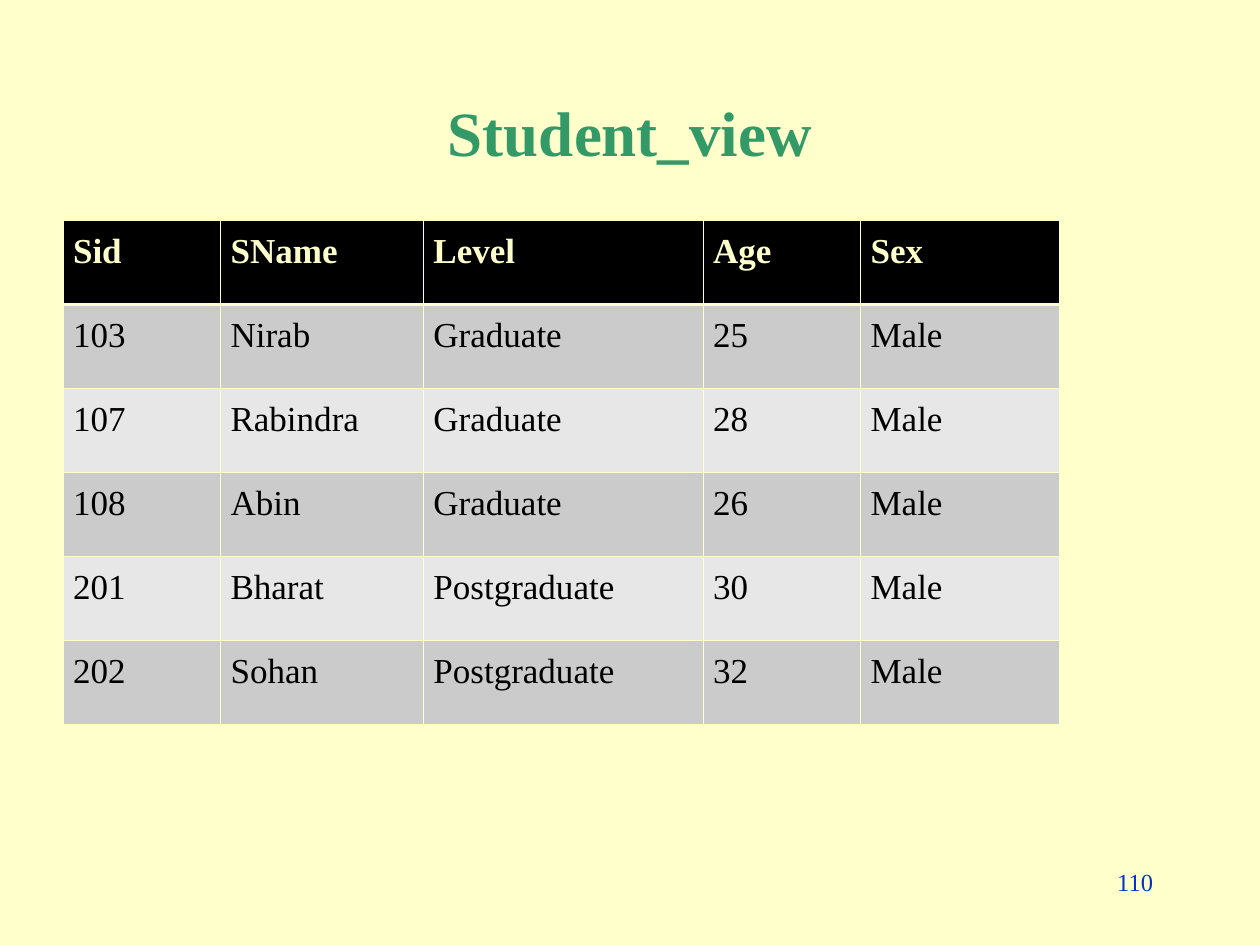
from lxml import etree
from pptx import Presentation, util as u
from pptx.dml.color import RGBColor
from pptx.enum import text
from pptx.oxml.ns import qn

TITLE = "Student_view"
PAGE_NUMBER = "110"
HEADER = ["Sid", "SName", "Level", "Age", "Sex"]
STUDENTS = [
    ["103", "Nirab", "Graduate", "25", "Male"],
    ["107", "Rabindra", "Graduate", "28", "Male"],
    ["108", "Abin", "Graduate", "26", "Male"],
    ["201", "Bharat", "Postgraduate", "30", "Male"],
    ["202", "Sohan", "Postgraduate", "32", "Male"],
]
COLUMN_WIDTHS = [1.25, 1.61, 2.22, 1.25, 1.58]
TABLE_LEFT, TABLE_TOP, TABLE_HEIGHT = 0.5, 1.75, 4

FONT = "Times New Roman"
CREAM = RGBColor(0xFF, 0xFF, 0xCC)
GREEN = RGBColor(0x33, 0x99, 0x66)
BLUE = RGBColor(0x00, 0x33, 0xCC)
BLACK = RGBColor(0x00, 0x00, 0x00)
BANDS = [RGBColor(0xCB, 0xCB, 0xCB), RGBColor(0xE7, 0xE7, 0xE7)]
THIN, THICK = 0.45, 1.47


def write(frame, words, size, color, bold=False, align=text.PP_ALIGN.LEFT):
    para = frame.paragraphs[0]
    para.alignment = align
    span = para.add_run()
    span.text = words
    span.font.name = FONT
    span.font.size = u.Pt(size)
    span.font.bold = bold
    span.font.color.rgb = color
    return para


def add_label(page, place, words, size, color, bold, align, anchor):
    box = page.shapes.add_textbox(*map(u.Inches, place))
    box.text_frame.word_wrap = True
    box.text_frame.vertical_anchor = anchor
    write(box.text_frame, words, size, color, bold, align)


def add_borders(cell, top, bottom):
    properties = cell._tc.get_or_add_tcPr()
    for side, width in zip("LRTB", (THIN, THIN, top, bottom)):
        line = etree.SubElement(properties, qn("a:ln" + side), w=str(u.Pt(width)))
        fill = etree.SubElement(line, qn("a:solidFill"))
        etree.SubElement(fill, qn("a:srgbClr"), val=str(CREAM))


def add_student_table(page):
    rows = [HEADER] + STUDENTS
    place = (TABLE_LEFT, TABLE_TOP, sum(COLUMN_WIDTHS), TABLE_HEIGHT)
    table = page.shapes.add_table(len(rows), len(HEADER), *map(u.Inches, place)).table
    for column, width in zip(table.columns, COLUMN_WIDTHS):
        column.width = u.Inches(width)
    for r, values in enumerate(rows):
        is_header = r == 0
        for c, value in enumerate(values):
            cell = table.cell(r, c)
            cell.margin_left = cell.margin_right = u.Inches(0.08)
            cell.margin_top = cell.margin_bottom = u.Inches(0.05)
            add_borders(cell, THICK if r == 1 else THIN, THICK if is_header else THIN)
            cell.fill.solid()
            cell.fill.fore_color.rgb = BLACK if is_header else BANDS[(r - 1) % 2]
            para = write(cell.text_frame, value, 20, CREAM if is_header else BLACK, is_header)
            para.line_spacing = 1.15


def main():
    deck = Presentation()
    deck.slide_width, deck.slide_height = u.Inches(10), u.Inches(7.5)
    page = deck.slides.add_slide(deck.slide_layouts[6])
    page.background.fill.solid()
    page.background.fill.fore_color.rgb = CREAM
    add_label(page, (0.75, 0.67, 8.5, 0.75), TITLE, 36, GREEN, True,
              text.PP_ALIGN.CENTER, text.MSO_ANCHOR.MIDDLE)
    add_student_table(page)
    add_label(page, (7.17, 6.83, 2.08, 0.5), PAGE_NUMBER, 14, BLUE, False,
              text.PP_ALIGN.RIGHT, text.MSO_ANCHOR.TOP)
    deck.save("out.pptx")


if __name__ == "__main__":
    main()
